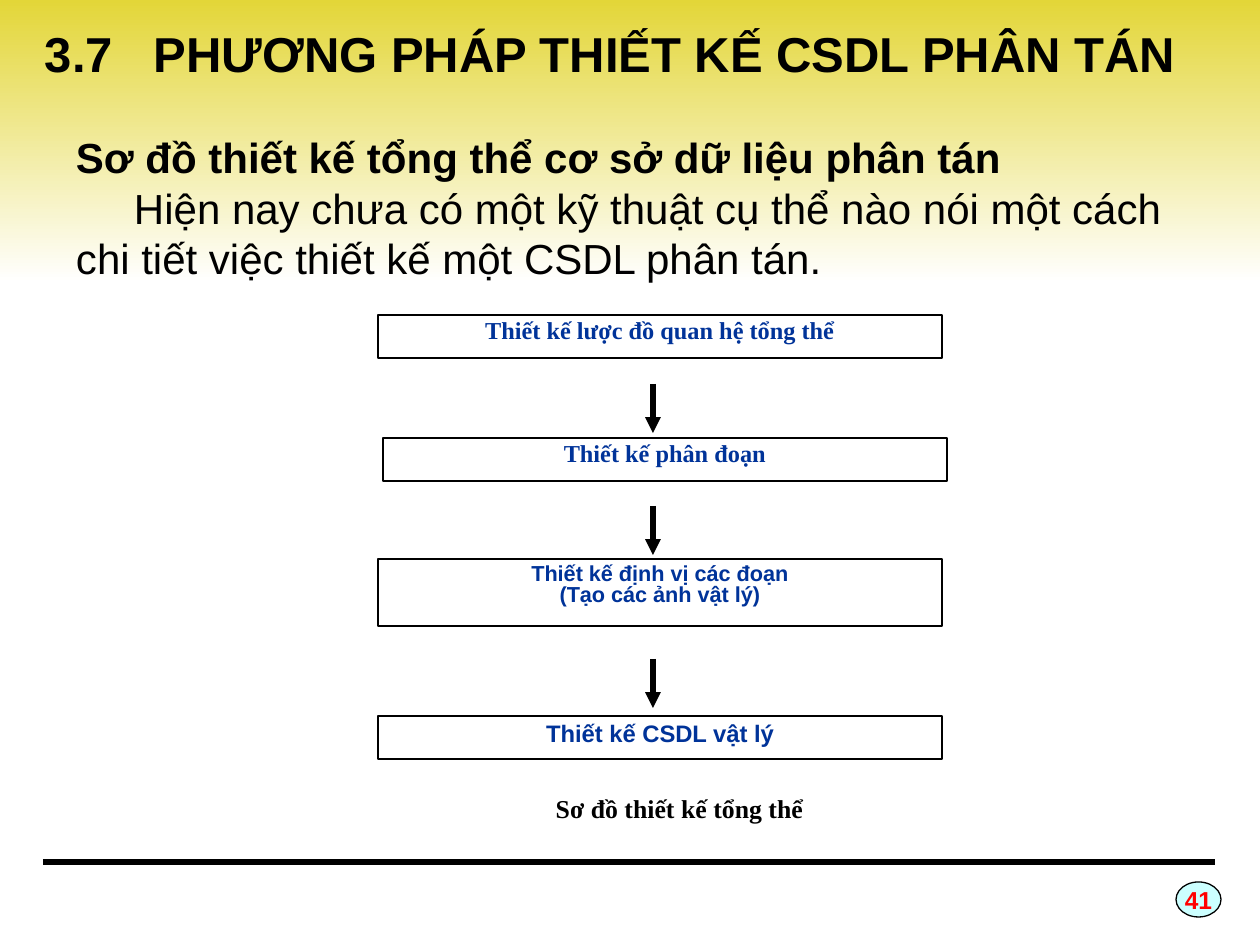
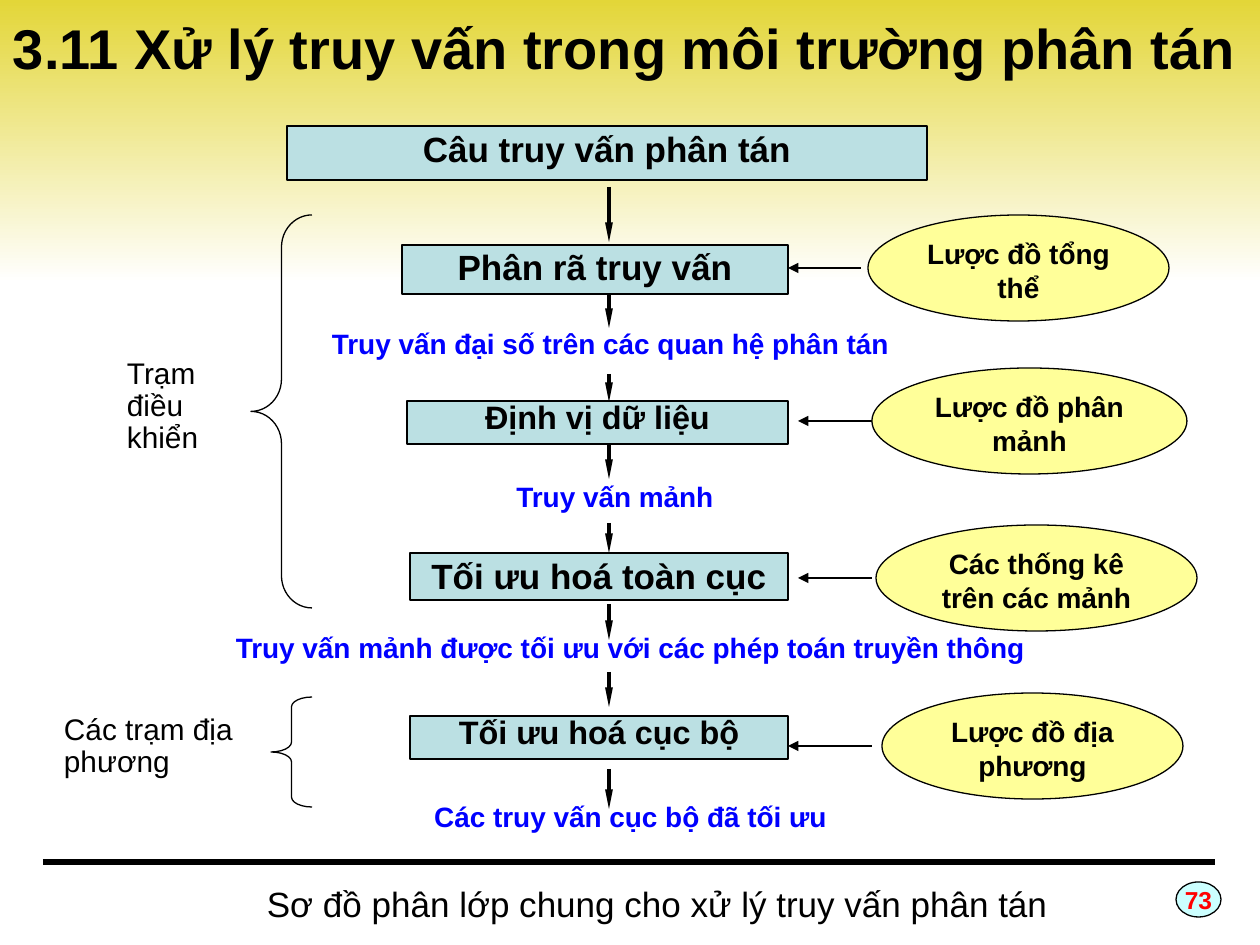
from dataclasses import dataclass

from lxml import etree
from pptx import Presentation
from pptx.dml.color import RGBColor
from pptx.enum.shapes import MSO_CONNECTOR, MSO_SHAPE
from pptx.enum.text import MSO_ANCHOR, PP_ALIGN
from pptx.oxml.ns import qn
from pptx.util import Pt

RECTANGLE, OVAL, BRACE = MSO_SHAPE.RECTANGLE, MSO_SHAPE.OVAL, MSO_SHAPE.LEFT_BRACE
STRAIGHT = MSO_CONNECTOR.STRAIGHT
LEFT, CENTER = PP_ALIGN.LEFT, PP_ALIGN.CENTER
TOP, MIDDLE = MSO_ANCHOR.TOP, MSO_ANCHOR.MIDDLE

EMU_PER_PX = 914400 / 126
SLIDE_WIDTH, SLIDE_HEIGHT = 1260, 945


@dataclass(frozen=True)
class Theme:
    sans: str = "Arial"
    serif: str = "Times New Roman"
    black: str = "000000"
    white: str = "FFFFFF"
    band: str = "E3D638"
    badge: str = "CCFFFF"
    number: str = "FF0000"
    step: str = "003399"
    query: str = "BBE0E3"
    result: str = "0000FF"
    schema: str = "FFFF99"
    number_size: float = 14
    body_size: float = 24
    caption_size: float = 14.7
    label_size: float = 16
    station_size: float = 17
    footer_size: float = 20
    thin: float = 0.75
    thick: float = 3


THEME = Theme()
WIDE_INSET, TIGHT_INSET = (13, 6), (1, 1)

# Content of the design slide
DESIGN = {
    "number": "41",
    "title": ("3.7\tPHƯƠNG PHÁP THIẾT KẾ CSDL PHÂN TÁN", (32, 21, 1187, 63), 28),
    "heading": "Sơ đồ thiết kế tổng thể cơ sở dữ liệu phân tán",
    "body": "Hiện nay chưa có một kỹ thuật cụ thể nào nói một cách "
            "chi tiết việc thiết kế một CSDL phân tán.",
    "caption": "Sơ đồ thiết kế tổng thể",
}
# lines, left, top, height, font, size, line spacing
DESIGN_STEPS = [
    (["Thiết kế lược đồ quan hệ tổng thể"], 378, 315, 43, THEME.serif, 13.9, 0.8),
    (["Thiết kế phân đoạn"], 383, 438, 43, THEME.serif, 13.9, 0.8),
    (["Thiết kế định vị các đoạn", "(Tạo các ảnh vật lý)"],
     378, 559, 67, THEME.sans, 12.4, 0.8),
    (["Thiết kế CSDL vật lý"], 378, 716, 43, THEME.sans, 13.6, 0.9),
]
STEP_WIDTH = 564
DESIGN_ARROW_X, DESIGN_ARROW_LENGTH = 653, 49
DESIGN_ARROW_TOPS = [384, 506, 659]

# Content of the query slide
QUERY = {
    "number": "73",
    "title": ("3.11 Xử lý truy vấn trong môi trường phân tán", (0, 10, 1260, 74), 32),
    "footer": "Sơ đồ phân lớp chung cho xử lý truy vấn phân tán",
}
# text, frame, size, line spacing
QUERY_STAGES = [
    ("Câu truy vấn phân tán", (287, 126, 640, 54), 20, 1),
    ("Phân rã truy vấn", (402, 245, 386, 49), 20, 1),
    ("Định vị dữ liệu", (407, 401, 381, 43), 18.5, 0.9),
    ("Tối ưu hoá toàn cục", (410, 553, 378, 47), 20, 1),
    ("Tối ưu hoá cục bộ", (410, 716, 378, 43), 18.5, 0.9),
]
# text, frame, first line indent
QUERY_RESULTS = [
    ("Truy vấn đại số trên các quan hệ phân tán", (286, 326, 649, 50), 0),
    ("Truy vấn mảnh", (472, 479, 262, 43), 24),
    ("Truy vấn mảnh được tối ưu với các phép toán truyền thông", (158, 630, 945, 45), 0),
    ("Các truy vấn cục bộ đã tối ưu", (331, 799, 599, 49), 0),
]
# text, frame, brace frame, brace curve
STATIONS = [
    ("Trạm điều khiển", (126, 358, 102, 113), (251, 215, 61, 393), 0.53),
    ("Các trạm địa phương", (63, 714, 202, 77), (271, 697, 41, 110), 0.24),
]
# text, left, top, width, arrow from, arrow to
SCHEMAS = [
    ("Lược đồ tổng thể", 868, 215, 301, 861, 788),
    ("Lược đồ phân mảnh", 872, 368, 315, 872, 798),
    ("Các thống kê trên các mảnh", 876, 525, 321, 872, 798),
    ("Lược đồ địa phương", 882, 693, 301, 872, 788),
]
SCHEMA_HEIGHT = 106
FLOW_X = 609
FLOW_ARROWS = [(187, 242), (294, 328), (374, 402), (445, 479),
               (523, 553), (604, 640), (672, 707), (769, 809)]


def px(value):
    return round(value * EMU_PER_PX)


def color(value):
    return RGBColor.from_string(value)


def set_paragraph(paragraph, text, size, text_color=THEME.black, font=THEME.sans,
                  bold=True, align=CENTER, spacing=1, indent=0, tab=None):
    paragraph.text = text
    paragraph.alignment = align
    paragraph.line_spacing = spacing
    properties = paragraph._p.get_or_add_pPr()
    if indent:
        properties.set("marL", "0")
        properties.set("indent", str(px(indent)))
    if tab:
        tabs = etree.SubElement(properties, qn("a:tabLst"))
        etree.SubElement(tabs, qn("a:tab"), pos=str(px(tab)), algn="l")
    paragraph.font.name = font
    paragraph.font.size = Pt(size)
    paragraph.font.bold = bold
    paragraph.font.color.rgb = color(text_color)


def set_frame(shape, inset=WIDE_INSET, anchor=TOP, wrap=True):
    frame = shape.text_frame
    frame.word_wrap = wrap
    frame.vertical_anchor = anchor
    frame.margin_left = frame.margin_right = px(inset[0])
    frame.margin_top = frame.margin_bottom = px(inset[1])
    return frame


def write(shape, lines, size, inset=WIDE_INSET, anchor=TOP, wrap=True, **style):
    frame = set_frame(shape, inset, anchor, wrap)
    for index, line in enumerate(lines):
        paragraph = frame.add_paragraph() if index else frame.paragraphs[0]
        set_paragraph(paragraph, line, size, **style)


def add_box(slide, kind, frame, fill=None, line=None):
    shape = slide.shapes.add_shape(kind, *map(px, frame))
    shape.shadow.inherit = False
    if fill:
        shape.fill.solid()
        shape.fill.fore_color.rgb = color(fill)
    else:
        shape.fill.background()
    if line:
        shape.line.color.rgb = color(line)
        shape.line.width = Pt(THEME.thin)
    else:
        shape.line.fill.background()
    return shape


def add_text(slide, frame):
    return slide.shapes.add_textbox(*map(px, frame))


def add_line(slide, start, end, width, head=None):
    """Draw a line; head gives the arrowhead's width and length."""
    connector = slide.shapes.add_connector(STRAIGHT, *map(px, (*start, *end)))
    connector.line.color.rgb = color(THEME.black)
    connector.line.width = Pt(width)
    if head:
        etree.SubElement(connector.line._get_or_add_ln(), qn("a:tailEnd"),
                         type="triangle", w=head[0], len=head[1])
    etree.SubElement(connector._element.spPr, qn("a:effectLst"))


def start_slide(presentation, content):
    """Add the band, rule, page number and title that all slides share."""
    slide = presentation.slides.add_slide(presentation.slide_layouts[6])
    band = add_box(slide, RECTANGLE, (0, 0, SLIDE_WIDTH, 283))
    band.fill.gradient()
    band.fill.gradient_angle = 270
    for stop, value, position in zip(band.fill.gradient_stops,
                                     (THEME.band, THEME.white), (0, 1)):
        stop.color.rgb = color(value)
        stop.position = position
    add_line(slide, (43, 862), (1215, 862), THEME.thick)
    badge = add_box(slide, OVAL, (1176, 882, 45, 35), THEME.badge, THEME.black)
    write(badge, [content["number"]], THEME.number_size, anchor=MIDDLE, wrap=False,
          text_color=THEME.number)
    text, frame, size = content["title"]
    write(add_text(slide, frame), [text], size, anchor=MIDDLE, align=LEFT,
          tab=109 if "\t" in text else None)
    return slide


def build_design_slide(presentation):
    slide = start_slide(presentation, DESIGN)
    # Introduction
    frame = set_frame(add_text(slide, (63, 126, 1166, 164)))
    set_paragraph(frame.paragraphs[0], DESIGN["heading"], THEME.body_size, align=LEFT)
    set_paragraph(frame.add_paragraph(), DESIGN["body"], THEME.body_size,
                  bold=False, align=LEFT, indent=58)
    # Steps, arrows and caption
    for lines, left, top, height, font, size, spacing in DESIGN_STEPS:
        box = add_box(slide, RECTANGLE, (left, top, STEP_WIDTH, height),
                      THEME.white, THEME.black)
        write(box, lines, size, text_color=THEME.step, font=font, spacing=spacing)
    for top in DESIGN_ARROW_TOPS:
        add_line(slide, (DESIGN_ARROW_X, top),
                 (DESIGN_ARROW_X, top + DESIGN_ARROW_LENGTH), THEME.thick, ("med", "med"))
    write(add_text(slide, (486, 793, 387, 44)), [DESIGN["caption"]], THEME.caption_size,
          font=THEME.serif, spacing=0.8)


def build_query_slide(presentation):
    slide = start_slide(presentation, QUERY)
    # Intermediate results and footer
    for text, frame, indent in QUERY_RESULTS:
        write(add_box(slide, RECTANGLE, frame, THEME.white), [text], THEME.label_size,
              inset=TIGHT_INSET, text_color=THEME.result, indent=indent)
    write(add_box(slide, RECTANGLE, (147, 882, 1021, 49), THEME.white),
          [QUERY["footer"]], THEME.footer_size, inset=TIGHT_INSET, bold=False)
    # Processing stages
    for text, frame, size, spacing in QUERY_STAGES:
        write(add_box(slide, RECTANGLE, frame, THEME.query, THEME.black), [text], size,
              inset=TIGHT_INSET, spacing=spacing)
    for top, bottom in FLOW_ARROWS:
        add_line(slide, (FLOW_X, top), (FLOW_X, bottom), 2.25, ("sm", "lg"))
    # Stations with braces
    for text, frame, brace_frame, curve in STATIONS:
        write(add_box(slide, RECTANGLE, frame, THEME.white), [text], THEME.station_size,
              inset=TIGHT_INSET, bold=False, align=LEFT, spacing=0.9)
        brace = add_box(slide, BRACE, brace_frame, line=THEME.black)
        brace.adjustments[0] = curve
    # Schemas feeding the stages
    for text, left, top, width, start, end in SCHEMAS:
        middle = top + SCHEMA_HEIGHT // 2
        add_line(slide, (start, middle), (end, middle), 1, ("med", "med"))
        oval = add_box(slide, OVAL, (left, top, width, SCHEMA_HEIGHT),
                       THEME.schema, THEME.black)
        write(oval, [text], THEME.label_size)


def main():
    presentation = Presentation()
    presentation.slide_width = px(SLIDE_WIDTH)
    presentation.slide_height = px(SLIDE_HEIGHT)
    build_design_slide(presentation)
    build_query_slide(presentation)
    presentation.save("out.pptx")


if __name__ == "__main__":
    main()
